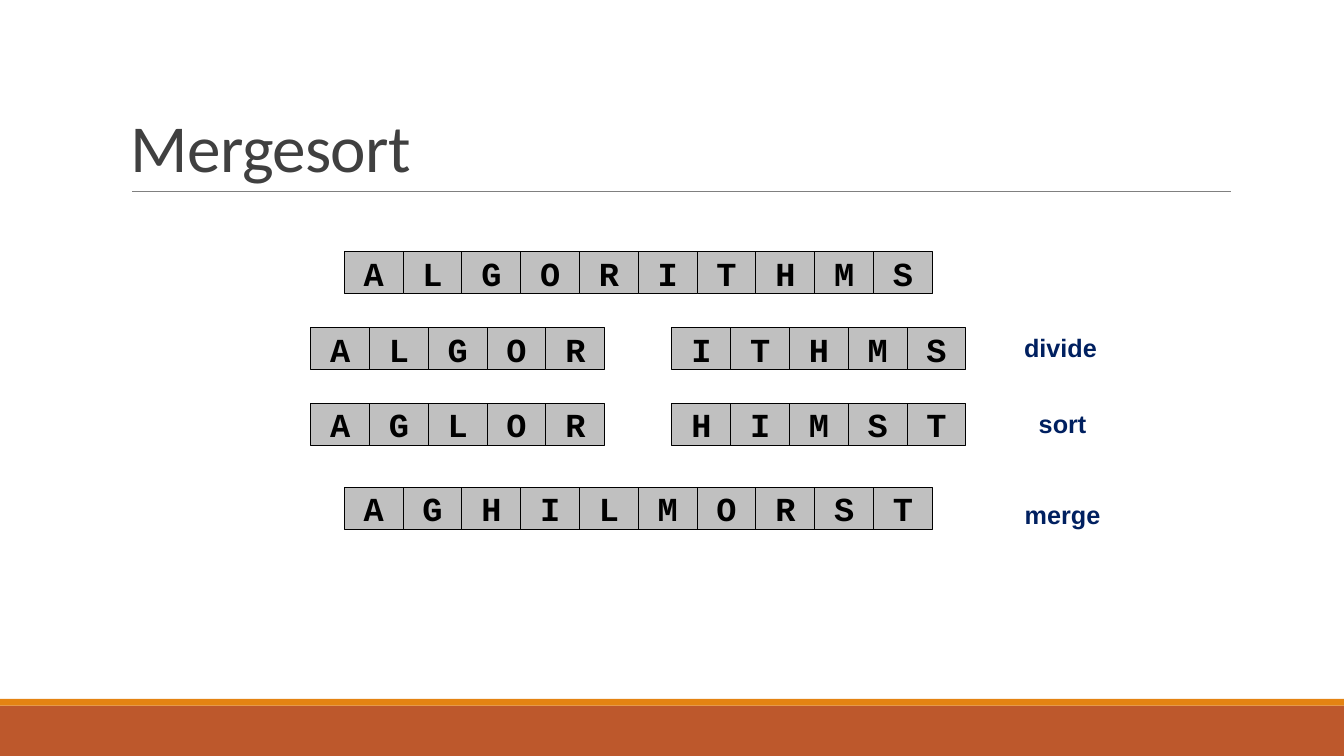
from dataclasses import dataclass
from pptx import Presentation
from pptx.dml.color import RGBColor as Rgb
from pptx.enum.shapes import MSO_CONNECTOR as Link, MSO_SHAPE as Shape
from pptx.enum.text import MSO_ANCHOR as Anchor, PP_ALIGN as Align
from pptx.oxml.ns import qn
from pptx.util import Inches, Pt
from lxml.etree import SubElement as Sub


@dataclass(frozen=True)
class Theme:
    band: str = "BD582C"
    strip: str = "E48312"
    rule: str = "808080"
    title: str = "404040"
    cell: str = "C0C0C0"
    ink: str = "000000"
    label: str = "002060"
    head: tuple = ("Calibri", 48, False)
    code: tuple = ("Courier New", 24, True)
    note: tuple = ("Arial", 18, True)


THEME = Theme()
COLS, ROWS = 160, 90
CELL_W, CELL_H = 7, 5
STEPS = [
    (30, [(41, "ALGORITHMS")], None),
    (39, [(37, "ALGOR"), (80, "ITHMS")], ("divide", 116.75, 0, 19)),
    (48, [(37, "AGLOR"), (80, "HIMST")], ("sort", 120, 0, 13)),
    (58, [(41, "AGHILMORST")], ("merge", 120, 0.8, 13)),
]


def unit(n):
    return Inches(n / 12)


def place(*box):
    return [unit(n) for n in box]


def write(frame, text, face, color, align):
    frame.text = text
    para = frame.paragraphs[0]
    para.alignment = align
    font = para.runs[0].font
    font.name, size, font.bold = face
    font.size = Pt(size)
    font.color.rgb = Rgb.from_string(color)
    return para


def block(slide, box, color, edge=None):
    rect = slide.shapes.add_shape(Shape.RECTANGLE, *place(*box))
    rect.shadow.inherit = False
    rect.fill.solid()
    rect.fill.fore_color.rgb = Rgb.from_string(color)
    if edge:
        rect.line.color.rgb = Rgb.from_string(edge)
        rect.line.width = Pt(0.75)
    else:
        rect.line.fill.background()
    return rect


def footer(slide, left, top, width, height):
    thin = height * 0.12
    rest = top + thin
    block(slide, (left, rest, width, height - thin), THEME.band)
    block(slide, (left, top, width, thin), THEME.strip)


def header(slide, left, top, width, height):
    base = top + height
    line = slide.shapes.add_connector(
        Link.STRAIGHT, *place(left + 1.32, base, left + width + 0.1, base))
    line.line.color.rgb = Rgb.from_string(THEME.rule)
    line.line.width = Pt(0.5)
    Sub(line._element.spPr, qn("a:effectLst"))
    frame = slide.shapes.add_textbox(*place(left, top, width, height)).text_frame
    frame.word_wrap = True
    frame.vertical_anchor = Anchor.BOTTOM
    para = write(frame, "Mergesort", THEME.head, THEME.title, Align.LEFT)
    para.line_spacing = 0.85
    para.runs[0]._r.get_or_add_rPr().set("spc", "-50")


def array(slide, left, top, word):
    for i, char in enumerate(word):
        box = (left + i * CELL_W, top, CELL_W, CELL_H)
        frame = block(slide, box, THEME.cell, THEME.ink).text_frame
        frame.word_wrap = False
        frame.vertical_anchor = Anchor.MIDDLE
        write(frame, char, THEME.code, THEME.ink, Align.CENTER)


def label(slide, left, top, width, text):
    frame = slide.shapes.add_textbox(*place(left, top, width, 4.8)).text_frame
    frame.word_wrap = True
    write(frame, text, THEME.note, THEME.label, Align.CENTER)


def step(slide, top, parts, note):
    for left, word in parts:
        array(slide, left, top, word)
    if note:
        text, left, drop, width = note
        label(slide, left, top + drop, width, text)


def main():
    deck = Presentation()
    deck.slide_width, deck.slide_height = place(COLS, ROWS)
    slide = deck.slides.add_slide(deck.slide_layouts[6])
    footer(slide, 0, 83.2, COLS, ROWS - 83.2)
    header(slide, 14.4, 3.7, 132, 19.1)
    for top, parts, note in STEPS:
        step(slide, top, parts, note)
    deck.save("out.pptx")


if __name__ == "__main__":
    main()
